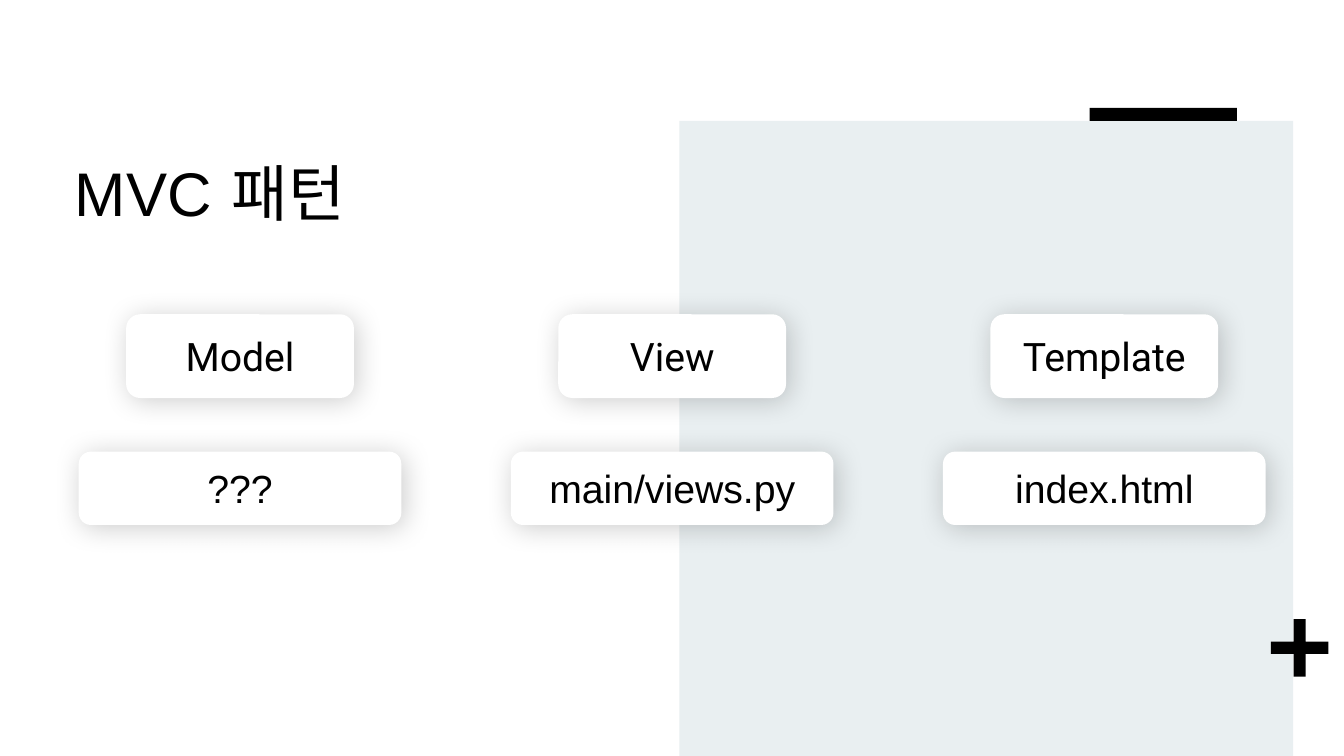
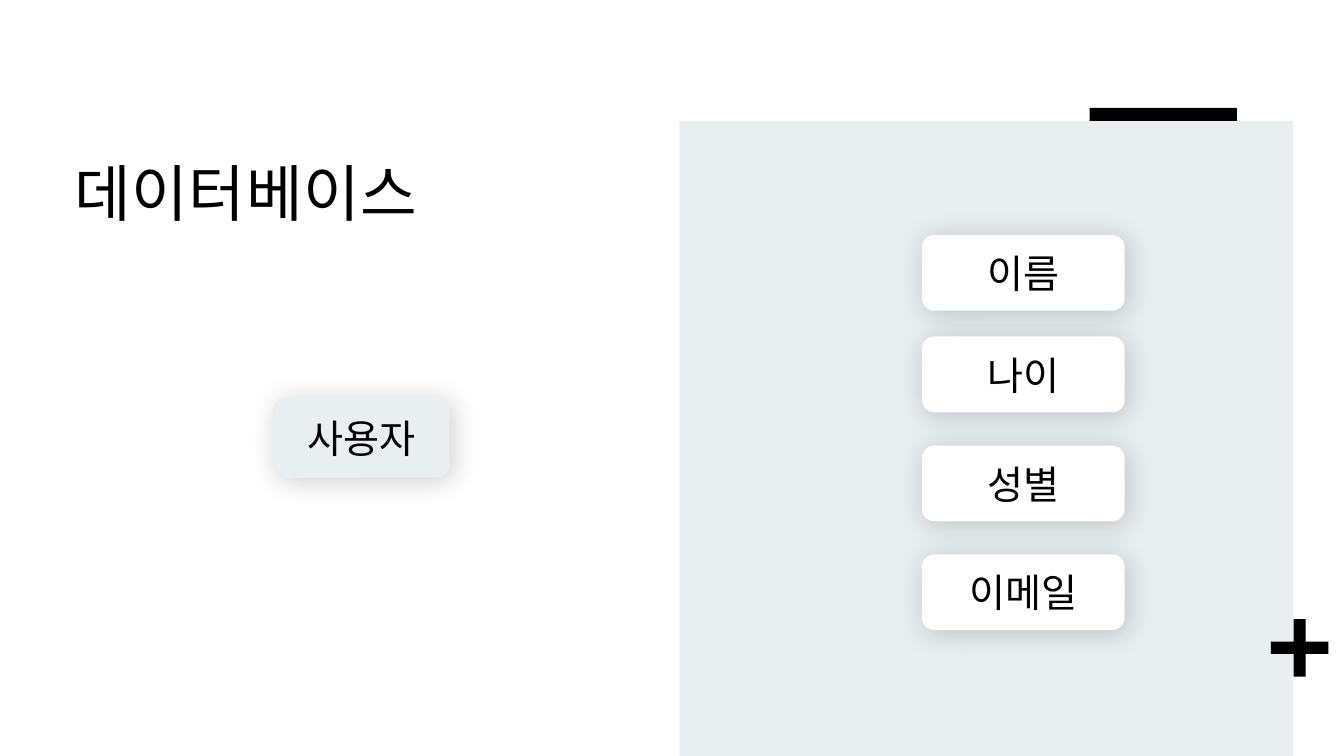
import pptx
import pptx.dml.color
import pptx.enum.shapes
import pptx.enum.text
import pptx.oxml
import pptx.oxml.ns
import pptx.util

Cm = pptx.util.Cm
Pt = pptx.util.Pt
SHAPE = pptx.enum.shapes.MSO_SHAPE
ALIGN = pptx.enum.text.PP_ALIGN
ANCHOR = pptx.enum.text.MSO_ANCHOR

WHITE, BLACK, MIST = "FFFFFF", "000000", "E9EFF1"
TITLE_FONT, LABEL_FONT = "Arial", "Roboto"

SHADOW = (
    f'<a:outerShdw {pptx.oxml.ns.nsdecls("a")} blurRad="{Pt(20)}" dist="{Pt(3)}" '
    'dir="2700000" algn="tl" rotWithShape="0">'
    f'<a:srgbClr val="{BLACK}"><a:alpha val="20000"/></a:srgbClr></a:outerShdw>'
)


def color(value):
    return pptx.dml.color.RGBColor.from_string(value)


def write_text(shape, text, font=LABEL_FONT, size=28, align=ALIGN.CENTER,
               anchor=ANCHOR.MIDDLE, line_spacing=None, tracking=None):
    frame = shape.text_frame
    frame.word_wrap = True
    frame.vertical_anchor = anchor
    paragraph = frame.paragraphs[0]
    paragraph.alignment = align
    paragraph.line_spacing = line_spacing
    run = paragraph.add_run()
    run.text = text
    run.font.name = font
    run.font.size = Pt(size)
    run.font.color.rgb = color(BLACK)
    if tracking is not None:
        run._r.get_or_add_rPr().set("spc", str(round(tracking * 100)))


def add_block(slide, kind, left, top, width, height, fill):
    shape = slide.shapes.add_shape(kind, Cm(left), Cm(top), Cm(width), Cm(height))
    shape.fill.solid()
    shape.fill.fore_color.rgb = color(fill)
    shape.line.fill.background()
    shape.shadow.inherit = False
    return shape


def add_card(slide, text, center, top, width, height, fill=WHITE, font=LABEL_FONT):
    card = add_block(slide, SHAPE.ROUNDED_RECTANGLE, center - width / 2, top,
                     width, height, fill)
    effects = card._element.spPr.find(pptx.oxml.ns.qn("a:effectLst"))
    effects.append(pptx.oxml.parse_xml(SHADOW))
    write_text(card, text, font=font)


def add_slide(presentation, title):
    slide = presentation.slides.add_slide(presentation.slide_layouts[6])
    # Shared background: panel, plus sign and bar
    add_block(slide, SHAPE.RECTANGLE, 17.12, 3.05, 15.47, 16, MIST)
    plus = add_block(slide, SHAPE.CROSS, 32.03, 15.6, 1.45, 1.45, BLACK)
    plus.adjustments[0] = 0.395
    add_block(slide, SHAPE.RECTANGLE, 27.46, 2.72, 3.71, 0.33, BLACK)
    # Title
    box = slide.shapes.add_textbox(Cm(1.57), Cm(3.35), Cm(22.96), Cm(4.01))
    frame = box.text_frame
    frame.margin_left = frame.margin_right = frame.margin_top = Cm(0.3)
    frame.margin_bottom = Cm(0.25)
    write_text(box, title, font=TITLE_FONT, size=44, align=ALIGN.LEFT,
               anchor=ANCHOR.TOP, line_spacing=1.14, tracking=0.5)
    return slide


def build_pattern_slide(presentation):
    slide = add_slide(presentation, "MVC 패턴")
    columns = [("Model", "???"), ("View", "main/views.py"), ("Template", "index.html")]
    for index, (role, file_name) in enumerate(columns):
        center = 6.05 + index * 10.89
        add_card(slide, role, center, 7.92, 5.74, 2.11)
        add_card(slide, file_name, center, 11.38, 8.13, 1.85, font=TITLE_FONT)


def build_database_slide(presentation):
    slide = add_slide(presentation, "데이터베이스")
    # Entity on the left, its fields on the panel
    add_card(slide, "사용자", 9.11, 10.01, 4.45, 2.03, fill=MIST)
    fields = [("이름", 5.92), ("나이", 8.48), ("성별", 11.23), ("이메일", 13.97)]
    for field, top in fields:
        add_card(slide, field, 25.79, top, 5.11, 1.91)


def main():
    presentation = pptx.Presentation()
    presentation.slide_width = Cm(33.87)
    presentation.slide_height = Cm(19.05)
    build_pattern_slide(presentation)
    build_database_slide(presentation)
    presentation.save("out.pptx")


if __name__ == "__main__":
    main()
